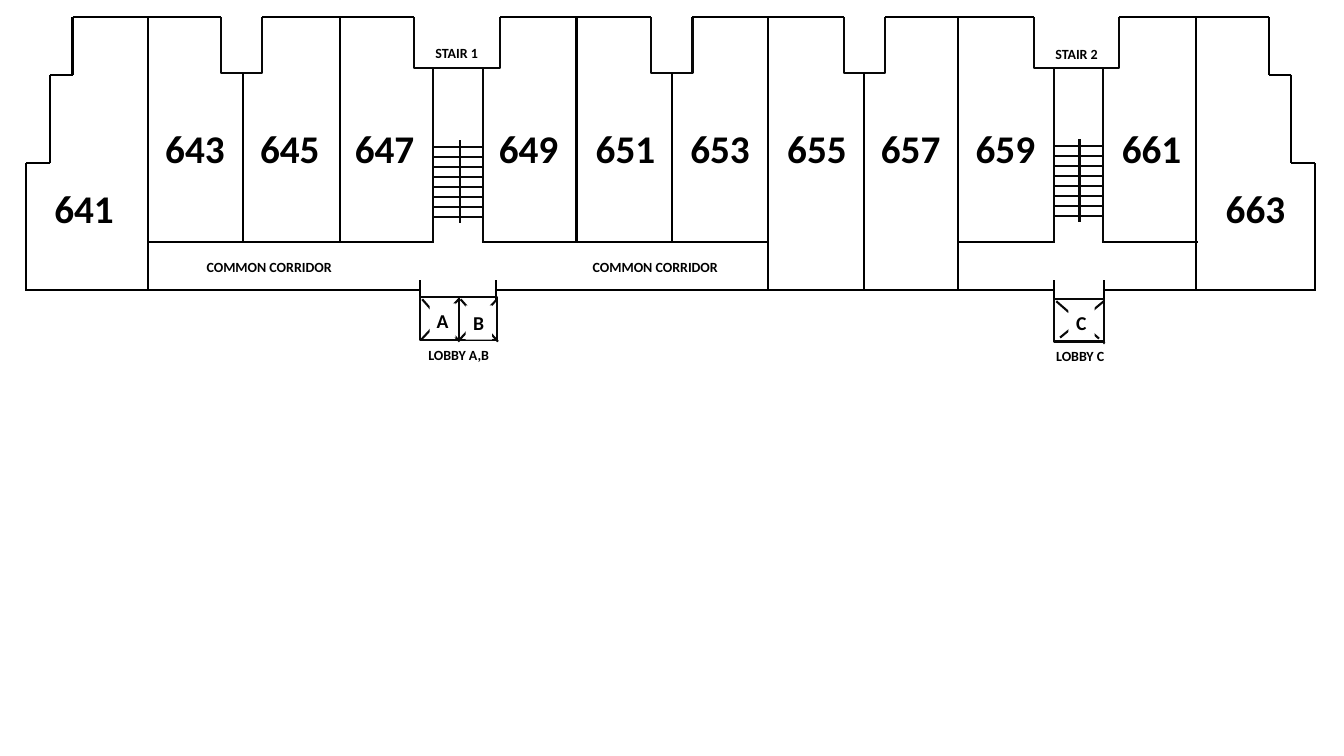
import pptx
import pptx.dml.color
import pptx.enum.dml
import pptx.enum.shapes
import pptx.enum.text
import pptx.oxml.ns
import pptx.util
from lxml import etree

Pt = pptx.util.Pt
BLACK, INK, WHITE = "000000", "080808", "FFFFFF"

# Building levels, from the roof down to the front wall
ROOF, CORRIDOR, FRONT = 12.1, 172.8, 207.4
MIRROR = 958.3  # left x + right x of the two matching end units

# Centre x, centre y of each unit number
UNIT_Y, END_UNIT_Y = 105.5, 148.7
units = [
    ("641", 60.1, END_UNIT_Y), ("643", 139.3, UNIT_Y), ("645", 207, UNIT_Y),
    ("647", 274.7, UNIT_Y), ("649", 377.6, UNIT_Y), ("651", 446.8, UNIT_Y),
    ("653", 514.4, UNIT_Y), ("655", 583.6, UNIT_Y), ("657", 650.5, UNIT_Y),
    ("659", 718.2, UNIT_Y), ("661", 822.6, UNIT_Y), ("663", 896.8, END_UNIT_Y),
]
areas = [
    ("COMMON CORRIDOR", 192.2, 190.4), ("COMMON CORRIDOR", 468, 190.4),
    ("STAIR 1", 326.2, 37.8), ("STAIR 2", 769, 38.5),
    ("LOBBY A,B", 327.6, 253.8), ("LOBBY C", 771.5, 254.5),
]

# Recesses in the roof line: left, right, bottom
recesses = [(157.7, 187.2, 52.4), (295.9, 357.1, 48.4), (465.1, 494.6, 52),
            (602.6, 632.2, 52), (738.7, 799.2, 48.4)]
# Walls between units: x, top, bottom
party_walls = [
    (105.8, ROOF, FRONT), (173.5, 52.4, CORRIDOR), (242.6, ROOF, CORRIDOR),
    (411.8, ROOF, CORRIDOR), (480.2, 52, CORRIDOR), (548.6, ROOF, FRONT),
    (617, 52, FRONT), (684, ROOF, FRONT), (854.6, ROOF, FRONT),
]
corridor_walls = [(105.1, 309.6), (344.2, 548.6), (684, 752.4), (787, 855.4)]
front_walls = [(18, 300.2), (353.5, 753.1), (787.7, 940.3)]
end_unit_steps = [(51.8, ROOF), (51.8, 53.3), (35.9, 53.3),
                  (35.9, 116.6), (18.7, 116.6), (18.7, FRONT)]
# Stairs: left, right, handrail x, first tread y
stairs = [(309.6, 344.9, 328.3, 105.1), (753.1, 787.7, 771.1, 104.4)]
TREADS, TREAD_GAP = 8, 7.1
# Lifts: name, left, top, width, name centre x, name centre y
LIFT_HEIGHT = 30.2
lifts = [("A", 300.2, 212.4, 27.4, 316.2, 229),
         ("B", 327.6, 212.4, 27.4, 342, 230.4),
         ("C", 753.1, 213.8, 35.3, 772.5, 230.4)]
door_jambs = [300.2, 354.2, 753.1, 788.4]

deck = pptx.Presentation()
deck.slide_width, deck.slide_height = Pt(960), Pt(540)
shapes = deck.slides.add_slide(deck.slide_layouts[6]).shapes


def rgb(value):
    return pptx.dml.color.RGBColor.from_string(value)


def stroke(shape, color):
    shape.line.color.rgb = rgb(color)
    shape.line.width = Pt(1.5)


def wall(x1, y1, x2, y2, color=BLACK, dash=None):
    line = shapes.add_connector(pptx.enum.shapes.MSO_CONNECTOR.STRAIGHT,
                                Pt(x1), Pt(y1), Pt(x2), Pt(y2))
    stroke(line, color)
    if dash:
        line.line.dash_style = dash
    properties = line.element.spPr
    etree.SubElement(properties, pptx.oxml.ns.qn("a:effectLst"))


def label(text, x, y, size, width, height, fill=None):
    """Bold text centred on x, y."""
    box = shapes.add_textbox(Pt(x - width / 2), Pt(y - height / 2),
                             Pt(width), Pt(height))
    if fill:
        box.fill.solid()
        box.fill.fore_color.rgb = rgb(fill)
    frame = box.text_frame
    frame.margin_left = frame.margin_right = 0
    frame.word_wrap = True
    frame.vertical_anchor = pptx.enum.text.MSO_ANCHOR.MIDDLE
    frame.text = text
    line = frame.paragraphs[0]
    line.alignment = pptx.enum.text.PP_ALIGN.CENTER
    font = line.runs[0].font
    font.name, font.size, font.bold = "Calibri", Pt(size), True
    font.color.rgb = rgb(BLACK)


# Outer walls
for flip in (False, True):
    corners = [(MIRROR - x if flip else x, y) for x, y in end_unit_steps]
    for start, end in zip(corners, corners[1:]):
        wall(*start, *end)
for left, right in front_walls:
    wall(left, FRONT, right, FRONT)

roof_start = end_unit_steps[0][0]
for left, right, bottom in recesses:
    wall(roof_start, ROOF, left, ROOF)
    outline = shapes.build_freeform(Pt(right), Pt(ROOF), scale=1.0)
    outline.add_line_segments([(Pt(right), Pt(bottom)), (Pt(left), Pt(bottom)),
                               (Pt(left), Pt(ROOF))], close=False)
    recess = outline.convert_to_shape()
    recess.fill.background()
    recess.shadow.inherit = False
    stroke(recess, INK)
    roof_start = right
wall(roof_start, ROOF, MIRROR - end_unit_steps[0][0], ROOF)

# Inner walls
for x, top, bottom in party_walls:
    wall(x, top, x, bottom)
for left, right in corridor_walls:
    wall(left, CORRIDOR, right, CORRIDOR)
for x in door_jambs:
    wall(x, 200.2, x, 214.6)

for left, right, rail, first_tread in stairs:
    for x in (left, right):
        wall(x, 48.4, x, 173.3, INK)
    wall(rail, first_tread - 5, rail, first_tread + 54, INK)
    for tread in range(TREADS):
        y = first_tread + tread * TREAD_GAP
        wall(left, y, right, y, INK)

cross_dash = pptx.enum.dml.MSO_LINE.DASH_DOT_DOT
for name, left, top, width, name_x, name_y in lifts:
    right, bottom = left + width, top + LIFT_HEIGHT
    lift = shapes.add_shape(pptx.enum.shapes.MSO_SHAPE.RECTANGLE, Pt(left), Pt(top),
                            Pt(width), Pt(LIFT_HEIGHT))
    lift.fill.background()
    lift.shadow.inherit = False
    stroke(lift, INK)
    wall(left + 1.4, top + 1.4, right + 0.7, bottom + 1.4, INK, cross_dash)
    wall(right, top + 1.4, left + 0.7, bottom, INK, cross_dash)
    label(name, name_x, name_y, 14, 18.7, 24.5, WHITE)

for name, x, y in units:
    label(name, x, y, 28, 59.8, 41)
for name, x, y in areas:
    label(name, x, y, 10, 110, 19.4)

deck.save("out.pptx")
